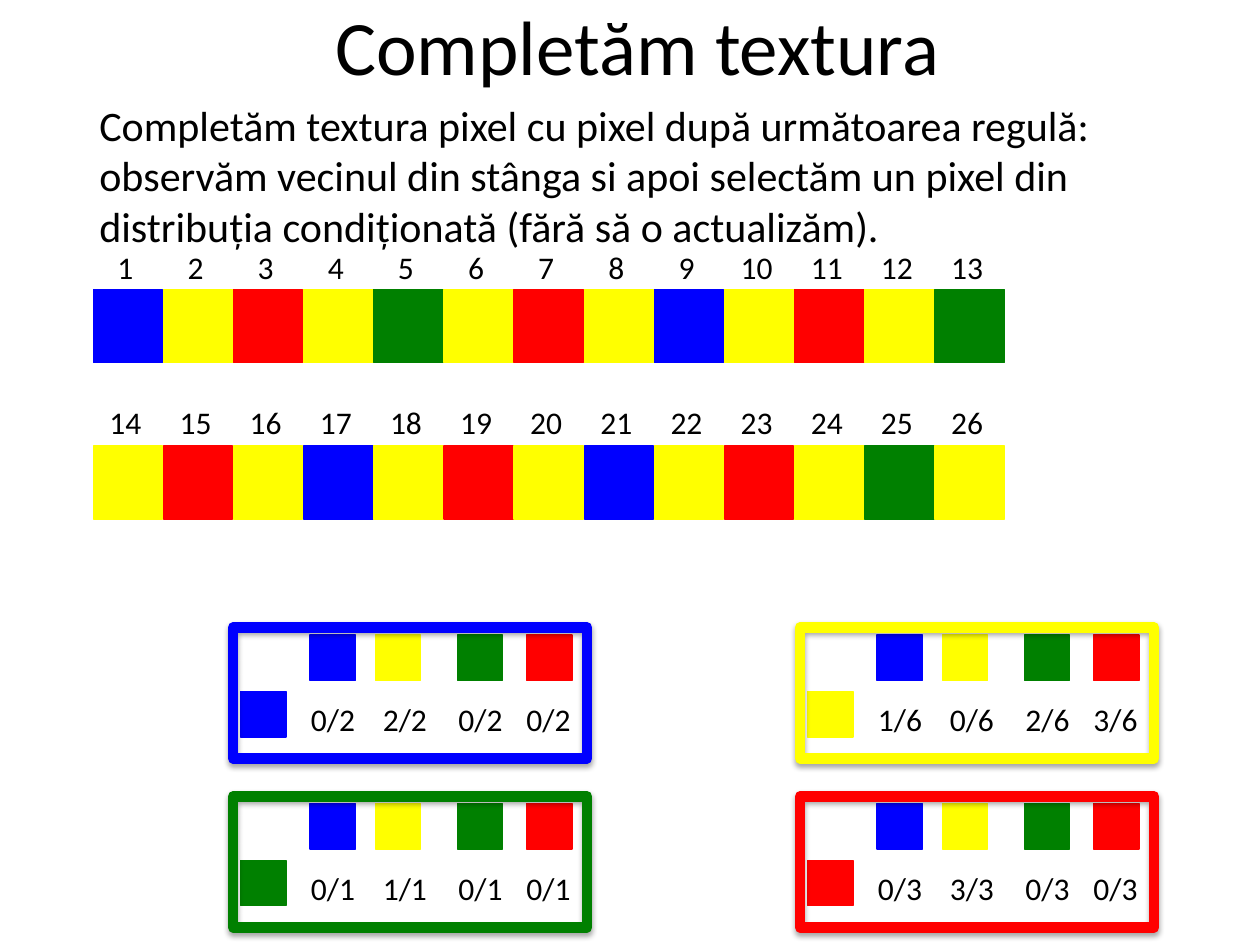
from lxml import etree
from pptx import Presentation
from pptx.dml.color import RGBColor
from pptx.enum import shapes, text
from pptx.oxml import ns
from pptx.util import Inches, Pt

TITLE = "Completăm textura"
RULE = ("Completăm textura pixel cu pixel după următoarea regulă: observăm vecinul "
        "din stânga si apoi selectăm un pixel din distribuția condiționată "
        "(fără să o actualizăm).")

# Each texture row: top of its pixels, top of its numbers, first number, colours
TEXTURE_ROWS = [
    (2.3, 1.92, 1, "BYRYGYRYBYRYG"),
    (3.54, 3.15, 14, "YRYBYRYBYRYGY"),
]
NEIGHBOURS = "BYGR"
# Each table: left neighbour, (column, row), probabilities in NEIGHBOURS order
DISTRIBUTIONS = [
    ("B", (0, 0), ["0/2", "2/2", "0/2", "0/2"]),
    ("Y", (1, 0), ["1/6", "0/6", "2/6", "3/6"]),
    ("G", (0, 1), ["0/1", "1/1", "0/1", "0/1"]),
    ("R", (1, 1), ["0/3", "3/3", "0/3", "0/3"]),
]

THEME = {
    "font": "Calibri", "ink": "000000",
    "title": 44, "body": 24, "label": 18, "outline": 0.75, "frame": 6,
    "B": "0000FF", "Y": "FFFF00", "G": "008000", "R": "FF0000",
}
SHADOW = {"blurRad": Pt(3.1), "dist": Pt(1.8), "dir": 90 * 60000, "rotWithShape": 0}
SHADOW_ALPHA = 35000

PIXEL_LEFT, PIXEL_W, PIXEL_H = 0.74, 0.55, 0.58
PIXEL_PITCH = (7.42 - PIXEL_LEFT) / 12
LABEL_H = 0.4
FRAME_LEFT, FRAME_TOP, FRAME_W, FRAME_H = 1.85, 4.98, 2.81, 1.04
FRAME_PITCH_X, FRAME_PITCH_Y = 4.5, 1.34
SWATCH = 0.36
SWATCH_OFFSETS = [0.61, 1.13, 1.78, 2.33]
CHANCE_OFFSETS = [0.52, 1.09, 1.69, 2.23]


def color(key):
    return RGBColor.from_string(THEME[key])


def place(shape, box):
    for side, value in zip(("left", "top", "width", "height"), box):
        setattr(shape, side, Inches(value))


def write(shape, words, size, align, anchor=text.MSO_ANCHOR.TOP):
    frame = shape.text_frame
    settings = {"word_wrap": True, "auto_size": text.MSO_AUTO_SIZE.NONE,
                "vertical_anchor": anchor, "text": words}
    for name, value in settings.items():
        setattr(frame, name, value)
    paragraph = frame.paragraphs[0]
    paragraph.alignment = align
    for name, value in {"name": THEME["font"], "size": Pt(THEME[size])}.items():
        setattr(paragraph.font, name, value)
    paragraph.font.color.rgb = color("ink")


def add_words(parent, box, words, size, align=text.PP_ALIGN.LEFT):
    write(parent.add_textbox(*map(Inches, box)), words, size, align)


def add_rectangle(parent, box, hue, line="outline", filled=True):
    rectangle = parent.add_shape(shapes.MSO_SHAPE.RECTANGLE, *map(Inches, box))
    rectangle.shadow.inherit = False
    if filled:
        rectangle.fill.solid()
        rectangle.fill.fore_color.rgb = color(hue)
    else:
        rectangle.fill.background()
    rectangle.line.color.rgb = color(hue)
    rectangle.line.width = Pt(THEME[line])
    return rectangle


def add_shadow(shape):
    effects = shape.element.spPr.find(ns.qn("a:effectLst"))
    outer = etree.SubElement(effects, ns.qn("a:outerShdw"),
                             {name: str(value) for name, value in SHADOW.items()})
    black = etree.SubElement(outer, ns.qn("a:srgbClr"), val=THEME["ink"])
    etree.SubElement(black, ns.qn("a:alpha"), val=str(SHADOW_ALPHA))


def add_texture_row(slide, top, label_top, first, hues):
    row = slide.shapes.add_group_shape().shapes
    for i, hue in enumerate(hues):
        left = PIXEL_LEFT + i * PIXEL_PITCH
        add_rectangle(row, (left, top, PIXEL_W, PIXEL_H), hue)
        add_words(row, (left - 0.02, label_top, PIXEL_W, LABEL_H),
                  str(first + i), "label", text.PP_ALIGN.CENTER)


def add_distribution(slide, neighbour, cell, chances):
    table = slide.shapes.add_group_shape().shapes
    left = FRAME_LEFT + cell[0] * FRAME_PITCH_X
    top = FRAME_TOP + cell[1] * FRAME_PITCH_Y
    add_rectangle(table, (left + 0.06, top + 0.51, SWATCH, SWATCH), neighbour)
    for hue, chance, swatch_x, chance_x in zip(
            NEIGHBOURS, chances, SWATCH_OFFSETS, CHANCE_OFFSETS):
        add_rectangle(table, (left + swatch_x, top + 0.06, SWATCH, SWATCH), hue)
        add_words(table, (left + chance_x, top + 0.53, 0.64, LABEL_H), chance, "label")
    frame = add_rectangle(table, (left, top, FRAME_W, FRAME_H), neighbour,
                          line="frame", filled=False)
    add_shadow(frame)


def main():
    deck = Presentation()
    deck.slide_width, deck.slide_height = Inches(10), Inches(7.5)
    slide = deck.slides.add_slide(deck.slide_layouts.get_by_name("Title Only"))
    title = slide.shapes.title
    place(title, (0.36, -0.27, 9.4, 1.25))
    write(title, TITLE, "title", text.PP_ALIGN.CENTER, text.MSO_ANCHOR.MIDDLE)
    add_words(slide.shapes, (0.69, 0.74, 8.57, 1.31), RULE, "body")
    for row in TEXTURE_ROWS:
        add_texture_row(slide, *row)
    for distribution in DISTRIBUTIONS:
        add_distribution(slide, *distribution)
    deck.save("out.pptx")


if __name__ == "__main__":
    main()
